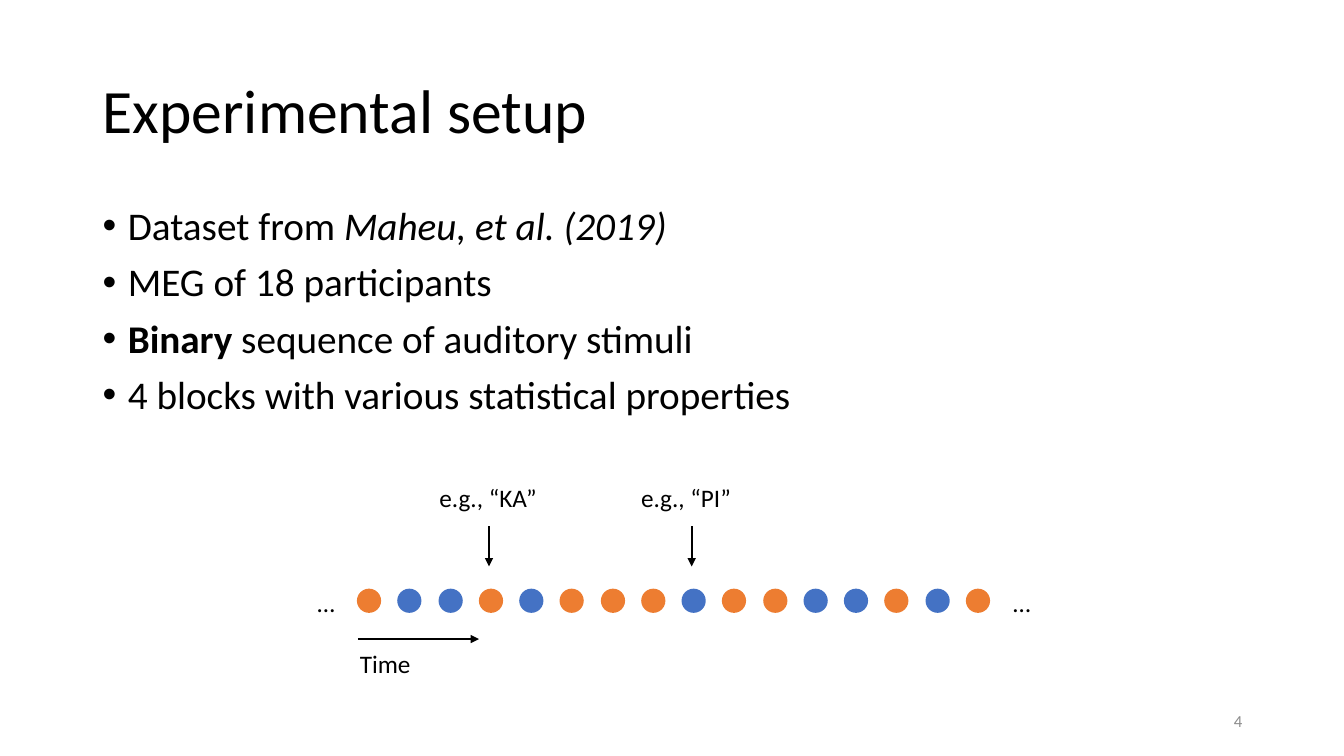
from lxml.etree import SubElement
from pptx import Presentation
from pptx.dml.color import RGBColor
from pptx.enum.shapes import MSO_CONNECTOR as Connector, MSO_SHAPE as Shape
from pptx.enum.text import MSO_ANCHOR as Anchor, MSO_AUTO_SIZE as AutoSize, PP_ALIGN as Align
from pptx.oxml.ns import qn
from pptx.util import Emu, Pt

PX = 9144
BLACK, GREY, ORANGE, BLUE = "000000", "8C8C8C", "ED7D31", "4472C4"


def color(value):
    return RGBColor.from_string(value)


def px(*lengths):
    return [Emu(length * PX) for length in lengths]


class SlideBuilder:
    font = "Calibri"

    def __init__(self, slide):
        self.slide = slide
        self.shapes = slide.shapes

    def style(self, run, size, ink=BLACK):
        run.font.name = self.font
        run.font.size = Pt(size)
        run.font.color.rgb = color(ink)

    def title(self, words, left, top, width, height):
        heading = self.shapes.title
        heading.left, heading.top, heading.width, heading.height = px(left, top, width, height)
        frame = heading.text_frame
        frame.text = words
        frame.auto_size = AutoSize.NONE
        frame.vertical_anchor = Anchor.MIDDLE
        paragraph = frame.paragraphs[0]
        paragraph.alignment = Align.LEFT
        paragraph.line_spacing = 0.9
        self.style(paragraph.runs[0], 44)

    def frame(self, left, top, width, height):
        frame = self.shapes.add_textbox(*px(left, top, width, height)).text_frame
        frame.word_wrap = True
        return frame

    def label(self, words, left, top, width, height=40, size=18, ink=BLACK,
              align=Align.LEFT, anchor=Anchor.TOP):
        frame = self.frame(left, top, width, height)
        frame.text = words
        frame.vertical_anchor = anchor
        frame.paragraphs[0].alignment = align
        self.style(frame.paragraphs[0].runs[0], size, ink)

    def bullets(self, points, left, top, width, height):
        frame = self.frame(left, top, width, height)
        for index, point in enumerate(points):
            paragraph = frame.add_paragraph() if index else frame.paragraphs[0]
            paragraph.line_spacing = 0.9
            paragraph.space_before = Pt(10)
            properties = paragraph._p.get_or_add_pPr()
            indent = 25 * PX
            properties.set("marL", str(indent))
            properties.set("indent", str(-indent))
            SubElement(properties, qn("a:buFont"), typeface="Arial")
            SubElement(properties, qn("a:buChar"), char="•")
            for words, emphasis in point:
                run = paragraph.add_run()
                run.text = words
                self.style(run, 28)
                run.font.bold = emphasis == "bold"
                run.font.italic = emphasis == "italic"

    def dot(self, left, top, diameter, fill):
        dot = self.shapes.add_shape(Shape.OVAL, *px(left, top, diameter, diameter))
        dot.shadow.inherit = False
        dot.fill.solid()
        dot.fill.fore_color.rgb = color(fill)
        dot.line.fill.background()

    def arrow(self, x1, y1, x2, y2):
        arrow = self.shapes.add_connector(Connector.STRAIGHT, *px(x1, y1, x2, y2))
        arrow.line.width = Pt(1.5)
        arrow.line.color.rgb = color(BLACK)
        SubElement(arrow.line._get_or_add_ln(), qn("a:tailEnd"), type="triangle")
        SubElement(arrow._element.spPr, qn("a:effectLst"))


def main():
    deck = Presentation()
    deck.slide_width, deck.slide_height = px(1333, 750)
    page = SlideBuilder(deck.slides.add_slide(deck.slide_layouts[5]))

    page.title("Experimental setup", 92, 40, 1150, 145)
    page.bullets([
        [("Dataset from ", ""), ("Maheu, et al. (2019)", "italic")],
        [("MEG of 18 participants", "")],
        [("Binary", "bold"), (" sequence of auditory stimuli", "")],
        [("4 blocks with various statistical properties", "")],
    ], 92, 200, 1150, 476)

    stimuli = "OBBOBOOOBOOBBOBO"
    first, last = 354, 958
    for index, stimulus in enumerate(stimuli):
        left = first + round(index * (last - first) / (len(stimuli) - 1))
        page.dot(left, 584, 24, ORANGE if stimulus == "O" else BLUE)
    for ellipsis_left in (305, 995):
        page.label("…", ellipsis_left, 578, 52)

    page.arrow(355, 634, 475, 634)
    page.label("Time", 347, 638, 92)
    for syllable, left, arrow_x in (("KA", 426, 485), ("PI", 626, 686)):
        page.label(f"e.g., “{syllable}”", left, 474, 121)
        page.arrow(arrow_x, 522, arrow_x, 562)

    page.label("4", 942, 695, 300, size=12, ink=GREY, align=Align.RIGHT, anchor=Anchor.MIDDLE)
    deck.save("out.pptx")


if __name__ == "__main__":
    main()
